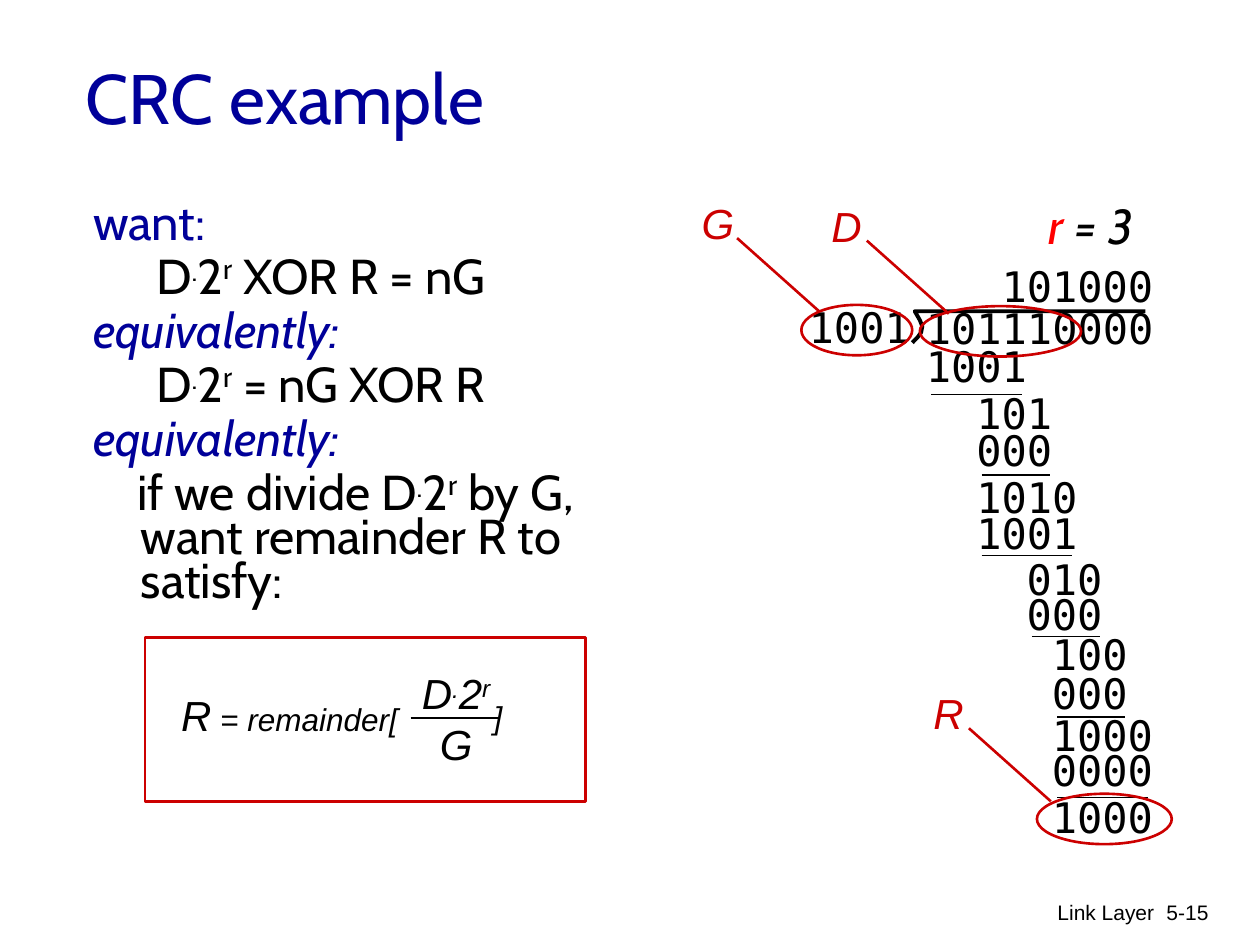
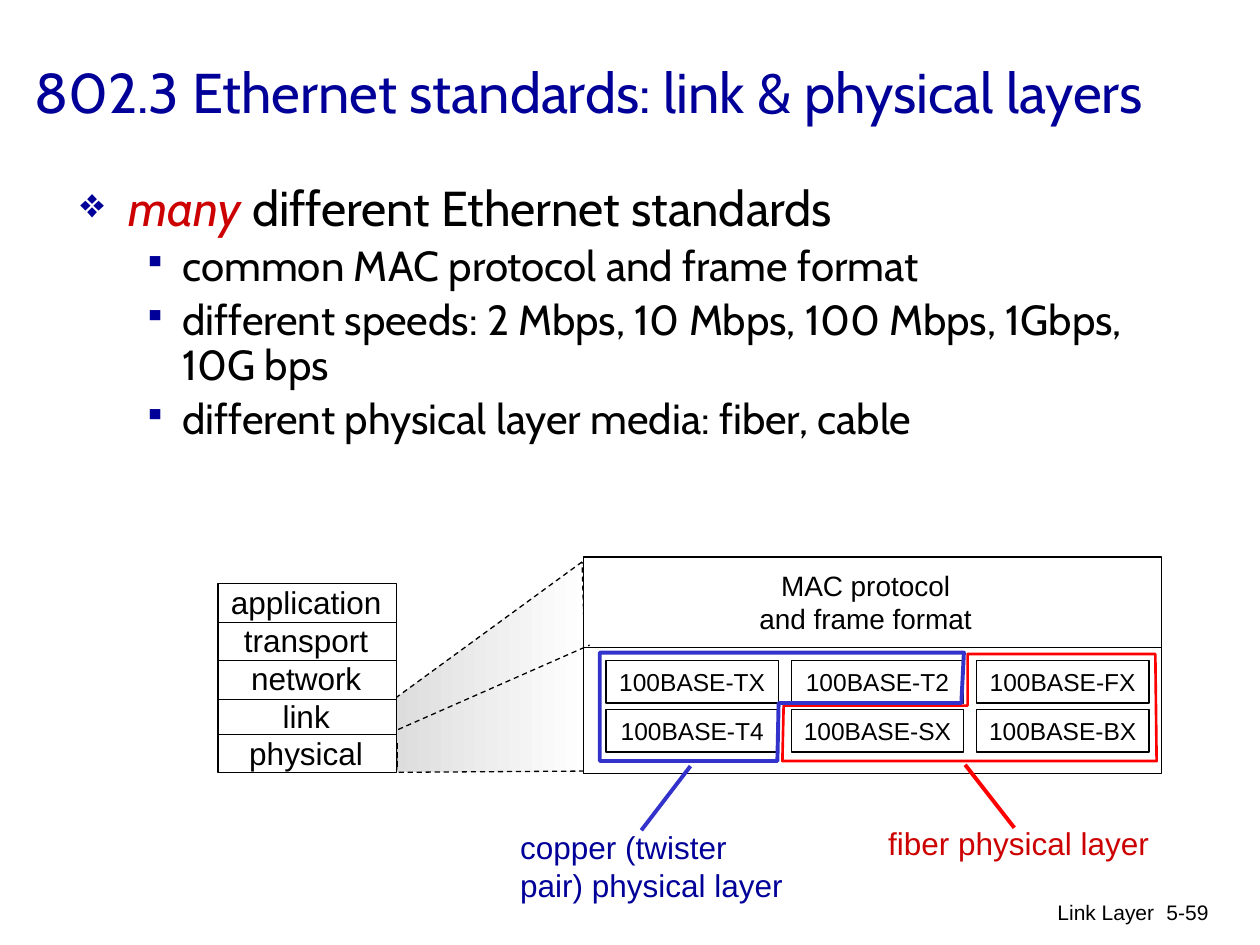
from dataclasses import dataclass
from functools import partial

from lxml import etree
from pptx import Presentation
from pptx.dml.color import RGBColor
from pptx.enum.dml import MSO_LINE
from pptx.enum.shapes import MSO_CONNECTOR, MSO_SHAPE
from pptx.enum.text import MSO_ANCHOR, MSO_AUTO_SIZE, PP_ALIGN
from pptx.oxml.ns import qn
from pptx.util import Inches, Pt

LEFT, CENTER, RIGHT = PP_ALIGN.LEFT, PP_ALIGN.CENTER, PP_ALIGN.RIGHT
TOP, MIDDLE = MSO_ANCHOR.TOP, MSO_ANCHOR.MIDDLE
RECT, OVAL = MSO_SHAPE.RECTANGLE, MSO_SHAPE.OVAL
STRAIGHT = MSO_CONNECTOR.STRAIGHT
DASH = MSO_LINE.DASH


@dataclass(frozen=True)
class Theme:
    head: str = "Cabin"
    sans: str = "Arial"
    mono: str = "DejaVu Sans Mono"
    black: str = "000000"
    white: str = "FFFFFF"
    navy: str = "000099"
    crimson: str = "CC0000"
    red: str = "FF0000"
    blue: str = "3333CC"
    grey: str = "DDDDDD"
    title: int = 40
    long_title: int = 32
    body: int = 28
    sub: int = 24
    label: int = 18
    mac: int = 16
    chip: int = 14
    footer: int = 12


T = Theme()


@dataclass
class Run:
    text: str
    size: int = T.label
    color: str = T.black
    font: str = T.sans
    italic: bool = False
    raised: int = 0


@dataclass
class Para:
    runs: list
    align: PP_ALIGN = LEFT
    spacing: float = 1.0
    before: float = 0
    margin: float = 0
    indent: float = 0
    bullet: str = ""
    bullet_size: int = 100


Body = partial(Run, size=T.body, font=T.head)
Formula = partial(Run, size=T.sub, italic=True)


# ---- Shared helpers ----

def add_bullet(ppr, char, size):
    color = etree.SubElement(ppr, qn("a:buClr"))
    etree.SubElement(color, qn("a:srgbClr"), val=T.navy)
    etree.SubElement(ppr, qn("a:buSzPct"), val=str(size * 1000))
    etree.SubElement(ppr, qn("a:buChar"), char=char)


def rgb(color):
    return RGBColor.from_string(color)


def write(tf, paras):
    for i, para in enumerate(paras):
        p = tf.paragraphs[0] if i == 0 else tf.add_paragraph()
        p.alignment, p.line_spacing = para.align, para.spacing
        p.space_before = Pt(para.before)
        ppr = p._p.get_or_add_pPr()
        ppr.set("marL", str(Inches(para.margin)))
        ppr.set("indent", str(Inches(para.indent)))
        if para.bullet:
            add_bullet(ppr, para.bullet, para.bullet_size)
        for run in para.runs:
            r = p.add_run()
            r.text = run.text
            r.font.size, r.font.name = Pt(run.size), run.font
            r.font.italic = run.italic
            r.font.color.rgb = rgb(run.color)
            if run.raised:
                r._r.get_or_add_rPr().set("baseline", str(run.raised * 1000))


def frame(tf, wrap, anchor):
    tf.auto_size = MSO_AUTO_SIZE.NONE
    tf.word_wrap, tf.vertical_anchor = wrap, anchor


def add_text(slide, x, y, w, h, paras, wrap=True):
    tf = slide.shapes.add_textbox(Inches(x), Inches(y), Inches(w), Inches(h)).text_frame
    frame(tf, wrap, TOP)
    write(tf, paras)


def style(s, color, width, fill=None, dash=None):
    s.shadow.inherit = False
    if fill:
        s.fill.solid()
        s.fill.fore_color.rgb = rgb(fill)
    else:
        s.fill.background()
    s.line.color.rgb, s.line.width = rgb(color), Pt(width)
    s.line.dash_style = dash
    return s


def add_shape(slide, kind, x, y, w, h, color=T.black, width=0.75, fill=None):
    s = slide.shapes.add_shape(kind, Inches(x), Inches(y), Inches(w), Inches(h))
    return style(s, color, width, fill)


def add_line(slide, x1, y1, x2, y2, color=T.black, width=0.75, dash=None):
    c = slide.shapes.add_connector(STRAIGHT, Inches(x1), Inches(y1), Inches(x2), Inches(y2))
    c.line.color.rgb, c.line.width = rgb(color), Pt(width)
    c.line.dash_style = dash
    etree.SubElement(c._element.spPr, qn("a:effectLst"))


def add_outline(slide, x, y, points, color, width, close=True, dash=None):
    points = [(Inches(x + dx), Inches(y + dy)) for dx, dy in points]
    builder = slide.shapes.build_freeform(*points[0], scale=1.0)
    builder.add_line_segments(points[1:], close=close)
    return style(builder.convert_to_shape(), color, width, dash=dash)


def new_slide(prs, title, size, box, page):
    slide = prs.slides.add_slide(prs.slide_layouts[5])
    for text, x, w in (("Link Layer", 6.09, 3.17), (page, 8.95, 0.74)):
        add_text(slide, x, 7.09, w, 0.5, [Para([Run(text, T.footer)], RIGHT)])
    s = slide.shapes.title
    s.left, s.top, s.width, s.height = map(Inches, box)
    frame(s.text_frame, True, MIDDLE)
    write(s.text_frame, [Para([Run(title, size, T.navy, T.head)])])
    return slide


# ---- CRC slide ----

def d_times_2r(make):
    return [make("D"), make(".", raised=26), make("2"), make("r", raised=30)]


def crc_goal(slide, x, y):
    line = partial(Para, spacing=0.75, before=5.6, margin=0.38, indent=-0.38)
    equation = partial(line, margin=0.81, indent=-0.31)
    equivalently = line([Body("equivalently:", color=T.navy, italic=True)])
    term = d_times_2r(Body)
    add_text(slide, x, y, 4.06, 3.55, [
        line([Body("want:", color=T.navy)]),
        equation(term + [Body(" XOR R = nG")]),
        equivalently,
        equation(term + [Body(" = nG XOR R")]),
        equivalently,
        line([Body("if we divide D")] + term[1:]
             + [Body(" by G, want remainder R to satisfy:")], indent=-0.03),
    ])


def remainder_formula(slide, x, y):
    # Text on either side of the fraction
    add_text(slide, x + 0.19, y + 0.36, 2.1, 0.5, [
        Para([Formula("R"), Formula(" = remainder[", size=T.label)])])
    add_text(slide, x + 2.67, y + 0.43, 0.4, 0.4, [Para([Formula("]", size=T.label)])])
    # Fraction
    add_text(slide, x + 1.74, y + 0.19, 1.46, 0.9, [
        Para(d_times_2r(Formula), CENTER), Para([Formula("G")], CENTER)])
    add_line(slide, x + 2.11, y + 0.64, x + 2.8, y + 0.64, width=1.5)
    add_shape(slide, RECT, x, y, 3.5, 1.3, T.crimson, 1.5)


def long_division(slide, x, y):
    """Lay digits on a column grid whose first dividend digit is at x, y."""
    digit = 0.2

    def digits(text, left, top):
        add_text(slide, left, top, len(text) * digit + 0.21, 0.5,
                 [Para([Run(text, T.sub, font=T.mono)])], wrap=False)

    digits("1001", x - 0.93, y - 0.01)
    digits("101110000", x, y)
    digits("101000", x + 3 * digit, y - 0.33)
    # Division bracket
    add_outline(slide, x, y, [(1.84, 0.12), (0.01, 0.12), (0.05, 0.19), (0.07, 0.24),
                              (0.06, 0.29), (0.03, 0.33), (-0.01, 0.37)],
                T.black, 2.25, close=False)
    # Each subtracted row is followed by what it leaves
    rows = [("1001", 0, 0.3), ("101", 2, 0.68), ("000", 2, 0.97), ("1010", 2, 1.34),
            ("1001", 2, 1.63), ("010", 4, 1.99), ("000", 4, 2.27), ("100", 5, 2.59),
            ("000", 5, 2.9), ("1000", 5, 3.23), ("0000", 5, 3.51), ("1000", 5, 3.88)]
    for text, column, dy in rows:
        digits(text, x + column * digit, y + dy)
    for step, (text, column, _) in enumerate(rows[::2]):
        start, rule_y = x + column * digit + 0.14, y + 0.78 + 0.64 * step
        add_line(slide, start, rule_y, start + 0.18 * len(text), rule_y)


def callout(slide, letter, x, y, oval):
    add_shape(slide, OVAL, *oval, T.crimson, 1.5)
    add_line(slide, x + 0.38, y + 0.37, x + 1.03, y + 0.95, T.crimson, 1.5)
    add_text(slide, x, y, 0.55, 0.5, [Para([Formula(letter, color=T.crimson)])])


def crc_slide(prs):
    slide = new_slide(prs, "CRC example", T.title, (0.58, 0.14, 8.5, 1.25), "5-15")
    crc_goal(slide, 0.64, 1.58)
    remainder_formula(slide, 1.15, 5.06)
    long_division(slide, 7.25, 2.35)
    callout(slide, "D", 6.5, 1.54, (7.3, 2.43, 1.28, 0.4))
    callout(slide, "G", 5.47, 1.52, (6.36, 2.42, 0.88, 0.4))
    callout(slide, "R", 7.31, 5.41, (8.23, 6.3, 1.07, 0.4))
    add_text(slide, 8.22, 1.5, 1.04, 0.57, [
        Para([Body("r ", color=T.red, italic=True), Body("= 3", italic=True)])])


# ---- Ethernet slide ----

def standards_list(slide, x, y):
    paras = [Para([Body("many ", color=T.crimson, italic=True),
                   Body("different Ethernet standards")],
                  spacing=0.9, before=5.6, margin=0.38, indent=-0.38,
                  bullet="❖", bullet_size=85)]
    for text in ("common MAC protocol and frame format",
                 "different speeds: 2 Mbps, 10 Mbps, 100 Mbps, 1Gbps, 10G bps",
                 "different physical layer media: fiber, cable"):
        paras.append(Para([Body(text, size=T.sub)], spacing=0.9, before=4.8,
                          margin=0.81, indent=-0.31, bullet="▪", bullet_size=75))
    add_text(slide, x, y, 8.5, 2.3, paras)


def zoom_wedge(slide, x, y):
    s = add_outline(slide, x, y, [(1.48, 0), (0, 1.08), (0.01, 1.67), (1.53, 1.66)],
                    T.black, 0.75, dash=DASH)
    s.fill.gradient()
    s.fill.gradient_angle = 0
    for stop, position, color in zip(s.fill.gradient_stops, (0, 1), (T.grey, T.white)):
        stop.position, stop.color.rgb = position, rgb(color)


def protocol_stack(slide, x, y):
    w = 1.42
    add_shape(slide, RECT, x, y, w, 1.5, fill=T.white)
    layers = ("application", "transport", "network", "link", "physical")
    add_text(slide, x, y - 0.05, 1.4, 1.6,
             [Para([Run(name)], CENTER) for name in layers], wrap=False)
    for dy in (0.31, 0.61, 0.92, 1.2):
        add_line(slide, x, y + dy, x + w, y + dy)
    for side in (x, x + w):
        add_line(slide, side, y + 1.27, side, y + 1.46, dash=DASH)


def mac_panel(slide, x, y):
    w = 4.59
    add_shape(slide, RECT, x, y, w, 1.72, fill=T.white)
    add_line(slide, x, y + 0.72, x + w, y + 0.72)
    add_text(slide, x + 1.29, y + 0.04, 1.9, 0.64, [
        Para([Run(text, T.mac)], CENTER) for text in ("MAC protocol", "and frame format")])
    # Grid of physical layer variants
    grid = (("TX", "T2", "FX"), ("T4", "SX", "BX"))
    for row, names in enumerate(grid):
        for column, name in enumerate(names):
            s = add_shape(slide, RECT, x + 0.18 + 1.47 * column, y + 0.82 + 0.39 * row,
                          1.37, 0.34)
            frame(s.text_frame, False, MIDDLE)
            write(s.text_frame, [Para([Run("100BASE-" + name, T.chip)], CENTER)])


def media_group(slide, x, y, points, color, width, pointer, label, lines, label_color):
    add_outline(slide, x, y, points, color, width)
    add_line(slide, *pointer, color, 2.25)
    add_text(slide, *label, [Para([Run(text, color=label_color)]) for text in lines])


def ethernet_slide(prs):
    slide = new_slide(prs, "802.3 Ethernet standards: link & physical layers",
                      T.long_title, (0.17, 0.1, 9.53, 1.25), "5-59")
    standards_list(slide, 0.54, 1.41)
    zoom_wedge(slide, 3.14, 4.46)
    protocol_stack(slide, 1.73, 4.63)
    mac_panel(slide, 4.63, 4.42)
    add_line(slide, 3.16, 5.79, 4.68, 5.12, dash=DASH)
    media_group(slide, 6.21, 5.19,
                [(1.47, 0), (1.47, 0.41), (0.01, 0.41), (0, 0.85), (2.97, 0.85), (2.96, 0)],
                T.red, 1.5, (7.66, 6.07, 8.05, 6.57), (6.95, 6.49, 2.35, 0.4),
                ["fiber physical layer"], T.crimson)
    media_group(slide, 4.76, 5.18,
                [(2.89, 0), (2.87, 0.4), (1.42, 0.4), (1.41, 0.86), (0, 0.86), (0, 0)],
                T.blue, 2.25, (5.48, 6.08, 5.09, 6.59), (4.03, 6.52, 2.35, 0.71),
                ["copper (twister", "pair) physical layer"], T.navy)


def main():
    prs = Presentation()
    prs.slide_width, prs.slide_height = Inches(10), Inches(7.5)
    crc_slide(prs)
    ethernet_slide(prs)
    prs.save("out.pptx")


if __name__ == "__main__":
    main()
